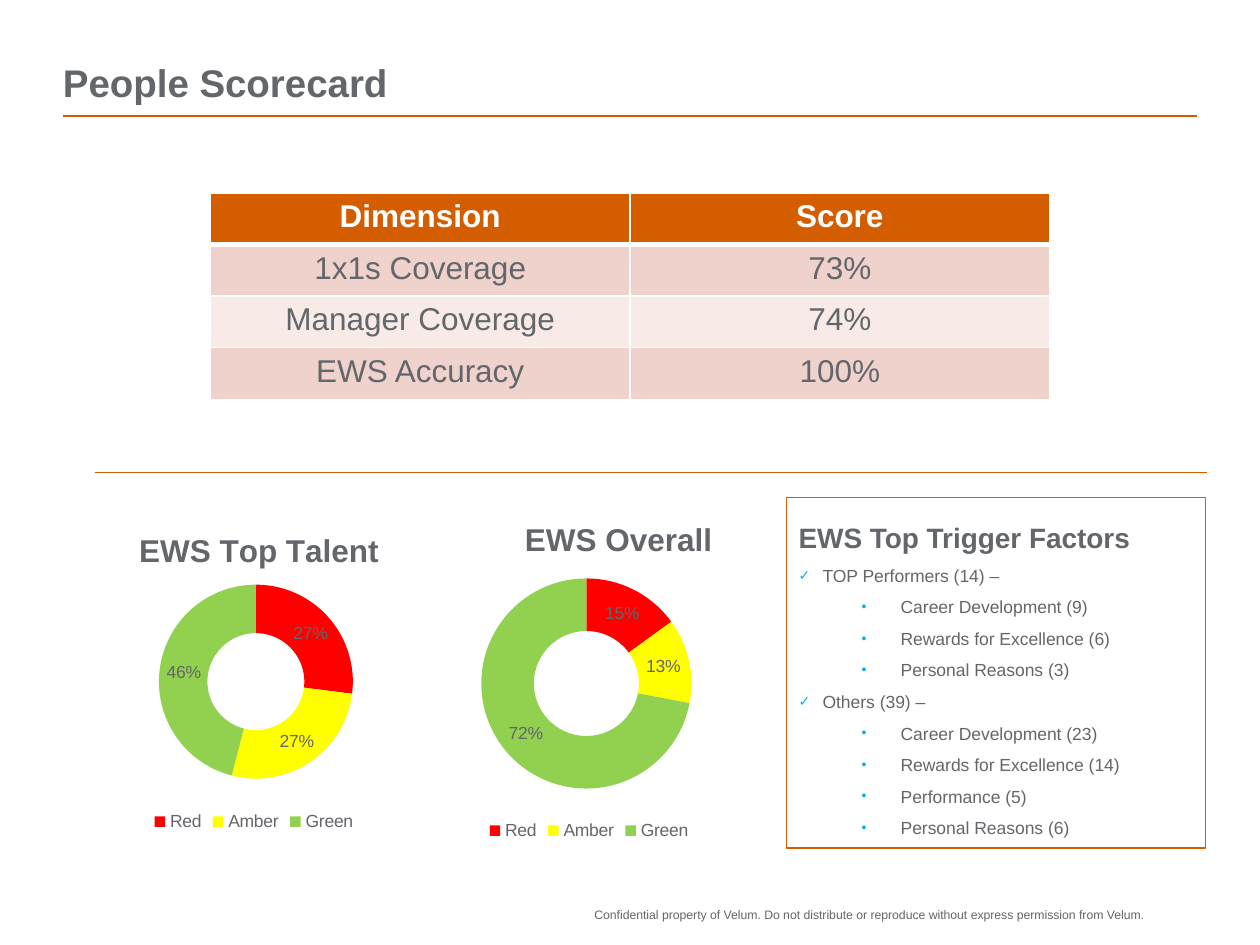
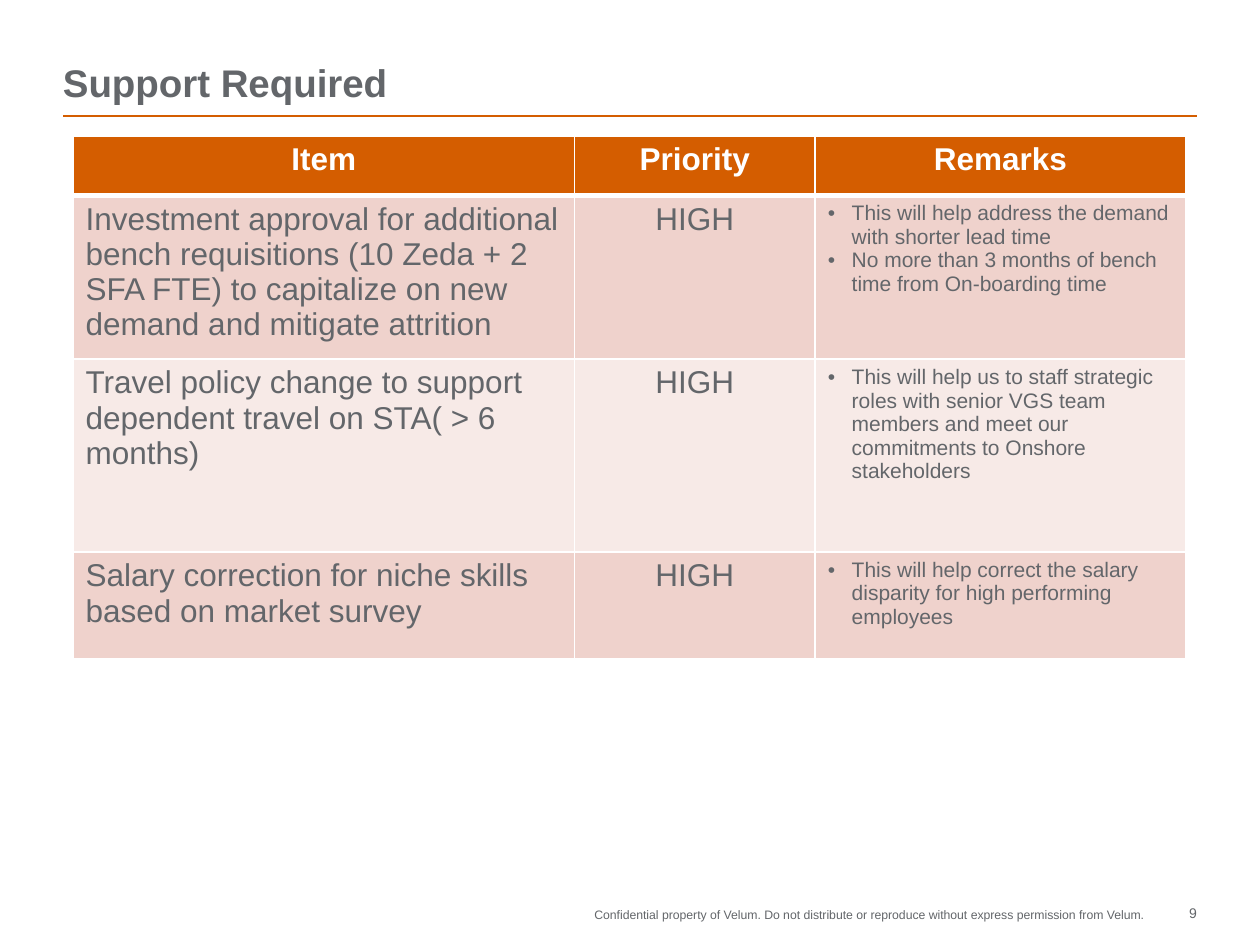
"""Build the People Scorecard and Support Required slides."""
from lxml import etree
from pptx import Presentation
from pptx import util as u
from pptx.chart import data as chart_data
from pptx.dml import color
from pptx.enum import chart as chart_enum
from pptx.enum import shapes, text
from pptx.oxml import ns, parse_xml

COLORS = {
    "orange": "D45D00", "grey": "63666A", "white": "FFFFFF", "band": "EFD2CC", "light_band": "F7EAE7",
    "bullet": "00B0F0", "red": "FF0000", "amber": "FFFF00", "green": "92D050",
}
RGB = {name: color.RGBColor.from_string(value) for name, value in COLORS.items()}
FONT = "Arial"
CENTER, RIGHT = text.PP_ALIGN.CENTER, text.PP_ALIGN.RIGHT
FOOTER = "Confidential property of Velum. Do not distribute or reproduce without express permission from Velum."


def write(frame, lines, size, tone="grey", bold=False, align=None, spacing=None, bullets=None):
    """Fill a text frame; bullets holds (character, left, hang, colour) or None for each line."""
    for index, line in enumerate(lines):
        paragraph = frame.paragraphs[0] if index == 0 else frame.add_paragraph()
        paragraph.text = line
        paragraph.alignment = align or text.PP_ALIGN.LEFT
        paragraph.line_spacing = spacing
        bullet = bullets[index] if bullets else None
        if bullet:
            character, left, hang, bullet_color = bullet
            properties = paragraph._p.get_or_add_pPr()
            properties.set("marL", str(u.Inches(left)))
            properties.set("indent", str(-u.Inches(hang)))
            if bullet_color:
                holder = etree.SubElement(properties, ns.qn("a:buClr"))
                etree.SubElement(holder, ns.qn("a:srgbClr"), val=COLORS[bullet_color])
                etree.SubElement(properties, ns.qn("a:buSzPct"), val="80000")
            etree.SubElement(properties, ns.qn("a:buFont"), typeface=FONT)
            etree.SubElement(properties, ns.qn("a:buChar"), char=character)
        for run in paragraph.runs:
            run.font.name, run.font.size, run.font.bold = FONT, u.Pt(size), bold
            run.font.color.rgb = RGB[tone]


def add_banded_table(slide, left, top, widths, heights, rows):
    """Add a table with an orange header; a list as cell content becomes bullets."""
    table = slide.shapes.add_table(
        len(rows), len(widths), u.Inches(left), u.Inches(top), u.Inches(sum(widths)), u.Inches(sum(heights))
    ).table
    for column, width in zip(table.columns, widths):
        column.width = u.Inches(width)
    for row, height in zip(table.rows, heights):
        row.height = u.Inches(height)
    for row_index, row in enumerate(rows):
        for column_index, content in enumerate(row):
            cell = table.cell(row_index, column_index)
            header = row_index == 0
            band = "orange" if header else "band" if row_index % 2 else "light_band"
            cell.fill.solid()
            cell.fill.fore_color.rgb = RGB[band]
            if isinstance(content, list):
                write(cell.text_frame, content, 12, bullets=[("•", 0.19, 0.19, None)] * len(content))
            else:
                wide_text = len(widths) == 3 and column_index == 0 and not header
                write(cell.text_frame, [content], 18, "white" if header else "grey", header,
                      None if wide_text else CENTER)
            edges = {"L": 1, "R": 1, "T": 3 if row_index == 1 else 1, "B": 3 if header else 1}
            for position, (edge, points) in enumerate(edges.items()):
                border = etree.Element(ns.qn(f"a:ln{edge}"), w=str(u.Pt(points)))
                fill = etree.SubElement(border, ns.qn("a:solidFill"))
                etree.SubElement(fill, ns.qn("a:srgbClr"), val=COLORS["white"])
                cell._tc.get_or_add_tcPr().insert(position, border)


presentation = Presentation()
presentation.slide_width, presentation.slide_height = u.Inches(10), u.Inches(7.5)
slides = []
for title, rules, page in [
    ("People Scorecard", [(0.5, 9.5, 0.92, 1), (0.75, 9.58, 3.75, 0.75)], None),
    ("Support Required", [(0.5, 9.5, 0.92, 1)], "9"),
]:
    slide = presentation.slides.add_slide(presentation.slide_layouts[6])
    slides.append(slide)
    for start, end, height, points in rules:
        rule = slide.shapes.add_connector(
            shapes.MSO_CONNECTOR.STRAIGHT, u.Inches(start), u.Inches(height), u.Inches(end), u.Inches(height)
        )
        rule.line.color.rgb = RGB["orange"]
        rule.line.width = u.Pt(points)
        etree.SubElement(rule._element.spPr, ns.qn("a:effectLst"))
    labels = [
        (FOOTER, (4.64, 7.2, 4.44, 0.12), 7, False, RIGHT, None),
        (title, (0.5, 0.17, 9, 0.67), 22, True, None, 0.9),
    ]
    if page:
        labels.append((page, (9.17, 7.18, 0.33, 0.17), 8, False, RIGHT, None))
    for label, place, size, bold, align, spacing in labels:
        frame = slide.shapes.add_textbox(*map(u.Inches, place)).text_frame
        frame.word_wrap = label != FOOTER
        frame.margin_left = frame.margin_right = frame.margin_top = frame.margin_bottom = 0
        frame.vertical_anchor = text.MSO_ANCHOR.BOTTOM if label == title else text.MSO_ANCHOR.TOP
        write(frame, [label], size, bold=bold, align=align, spacing=spacing)

scorecard, support = slides

trigger_box = scorecard.shapes.add_shape(
    shapes.MSO_SHAPE.RECTANGLE, u.Inches(6.24), u.Inches(3.95), u.Inches(3.33), u.Inches(2.78)
)
trigger_box.shadow.inherit = False
trigger_box.fill.background()
trigger_box.line.color.rgb = RGB["orange"]
trigger_box.line.width = u.Pt(0.75)
frame = trigger_box.text_frame
frame.word_wrap = True
frame.vertical_anchor = text.MSO_ANCHOR.TOP
write(frame, ["EWS Top Trigger Factors"], 16, bold=True, spacing=1.5)
check, dot = ("✓", 0.19, 0.19, "bullet"), ("•", 0.81, 0.31, "bullet")
triggers = {
    "TOP Performers (14) –": ["Career Development (9)", "Rewards for Excellence (6)", "Personal Reasons (3)"],
    "Others (39) –": [
        "Career Development (23)", "Rewards for Excellence (14)", "Performance (5)", "Personal Reasons (6)",
    ],
}
for group, reasons in triggers.items():
    for line, bullet in [(group, check)] + [(reason, dot) for reason in reasons]:
        paragraph_frame = frame.add_paragraph()
        paragraph_frame.text = line
        paragraph_frame.line_spacing = 1.5
        paragraph_frame.alignment = text.PP_ALIGN.LEFT
        character, left, hang, bullet_color = bullet
        properties = paragraph_frame._p.get_or_add_pPr()
        properties.set("marL", str(u.Inches(left)))
        properties.set("indent", str(-u.Inches(hang)))
        holder = etree.SubElement(properties, ns.qn("a:buClr"))
        etree.SubElement(holder, ns.qn("a:srgbClr"), val=COLORS[bullet_color])
        etree.SubElement(properties, ns.qn("a:buSzPct"), val="80000")
        etree.SubElement(properties, ns.qn("a:buFont"), typeface=FONT)
        etree.SubElement(properties, ns.qn("a:buChar"), char=character)
        font = paragraph_frame.runs[0].font
        font.name, font.size, font.bold = FONT, u.Pt(10), False
        font.color.rgb = RGB["grey"]

for name, place, values, ring, title_place in [
    ("EWS Overall", (2.59, 3.92, 4.17, 2.79), (0.15, 0.13, 0.72), (3.82, 4.59, 1.67), (4.12, 4.07)),
    ("EWS Top Talent", (0, 3.97, 4.03, 2.67), (0.27, 0.27, 0.46), (1.26, 4.64, 1.54), (1.06, 4.16)),
]:
    ratings = chart_data.CategoryChartData()
    ratings.categories = ["Red", "Amber", "Green"]
    ratings.add_series("Series 1", values)
    chart = scorecard.shapes.add_chart(
        chart_enum.XL_CHART_TYPE.DOUGHNUT, *map(u.Inches, place), ratings
    ).chart
    chart.font.name, chart.font.size = FONT, u.Pt(10)
    chart.font.color.rgb = RGB["grey"]
    chart.has_title = True
    write(chart.chart_title.text_frame, [name], 18, bold=True, align=CENTER)
    chart.has_legend = True
    chart.legend.position = chart_enum.XL_LEGEND_POSITION.BOTTOM
    chart.legend.include_in_layout = False
    plot = chart.plots[0]
    plot.vary_by_categories = True
    plot.has_data_labels = True
    plot.data_labels.show_value = True
    plot.data_labels.show_percentage = False
    plot.data_labels.number_format = "0%"
    plot.data_labels.number_format_is_linked = False
    for index, tone in enumerate(["red", "amber", "green"]):
        fill = plot.series[0].points[index].format.fill
        fill.solid()
        fill.fore_color.rgb = RGB[tone]
    left, top, width, height = place
    ring_left, ring_top, ring_size = ring
    title_left, title_top = title_place
    layouts = {
        "c:title": {"x": (title_left - left) / width, "y": (title_top - top) / height},
        "c:plotArea": {
            "x": (ring_left - left) / width, "y": (ring_top - top) / height,
            "w": ring_size / width, "h": ring_size / height,
        },
    }
    for tag, fractions in layouts.items():
        parent = chart.element.xpath(f".//{tag}")[0]
        for old_layout in parent.findall(ns.qn("c:layout")):
            parent.remove(old_layout)
        layout = etree.Element(ns.qn("c:layout"))
        manual = etree.SubElement(layout, ns.qn("c:manualLayout"))
        if tag == "c:plotArea":
            etree.SubElement(manual, ns.qn("c:layoutTarget"), val="inner")
        for axis in "xy":
            etree.SubElement(manual, ns.qn(f"c:{axis}Mode"), val="edge")
        for key, fraction in fractions.items():
            etree.SubElement(manual, ns.qn(f"c:{key}"), val=f"{fraction:.3f}")
        parent.insert(1 if tag == "c:title" else 0, layout)
    chart.element.find(ns.qn("c:chart")).addnext(parse_xml(
        f"<c:spPr {ns.nsdecls('c', 'a')}><a:noFill/><a:ln><a:noFill/></a:ln></c:spPr>"
    ))

add_banded_table(scorecard, 1.67, 1.53, [3.33] * 2, [0.41] * 4, [
    ("Dimension", "Score"),
    ("1x1s Coverage", "73%"),
    ("Manager Coverage", "74%"),
    ("EWS Accuracy", "100%"),
])

add_banded_table(support, 0.58, 1.08, [3.98, 1.91, 2.94], [0.47, 1.21, 1.53, 0.85], [
    ("Item", "Priority", "Remarks"),
    ("Investment approval for additional bench requisitions (10 Zeda + 2 SFA FTE) to capitalize on new demand "
     "and mitigate attrition", "HIGH",
     ["This will help address the demand with shorter lead time",
      "No more than 3 months of bench time from On-boarding time"]),
    ("Travel policy change to support dependent travel on STA( > 6 months)", "HIGH",
     ["This will help us to staff strategic roles with senior VGS team members and meet our commitments to "
      "Onshore stakeholders"]),
    ("Salary correction for niche skills based on market survey", "HIGH",
     ["This will help correct the salary disparity for high performing employees"]),
])

presentation.save("out.pptx")
